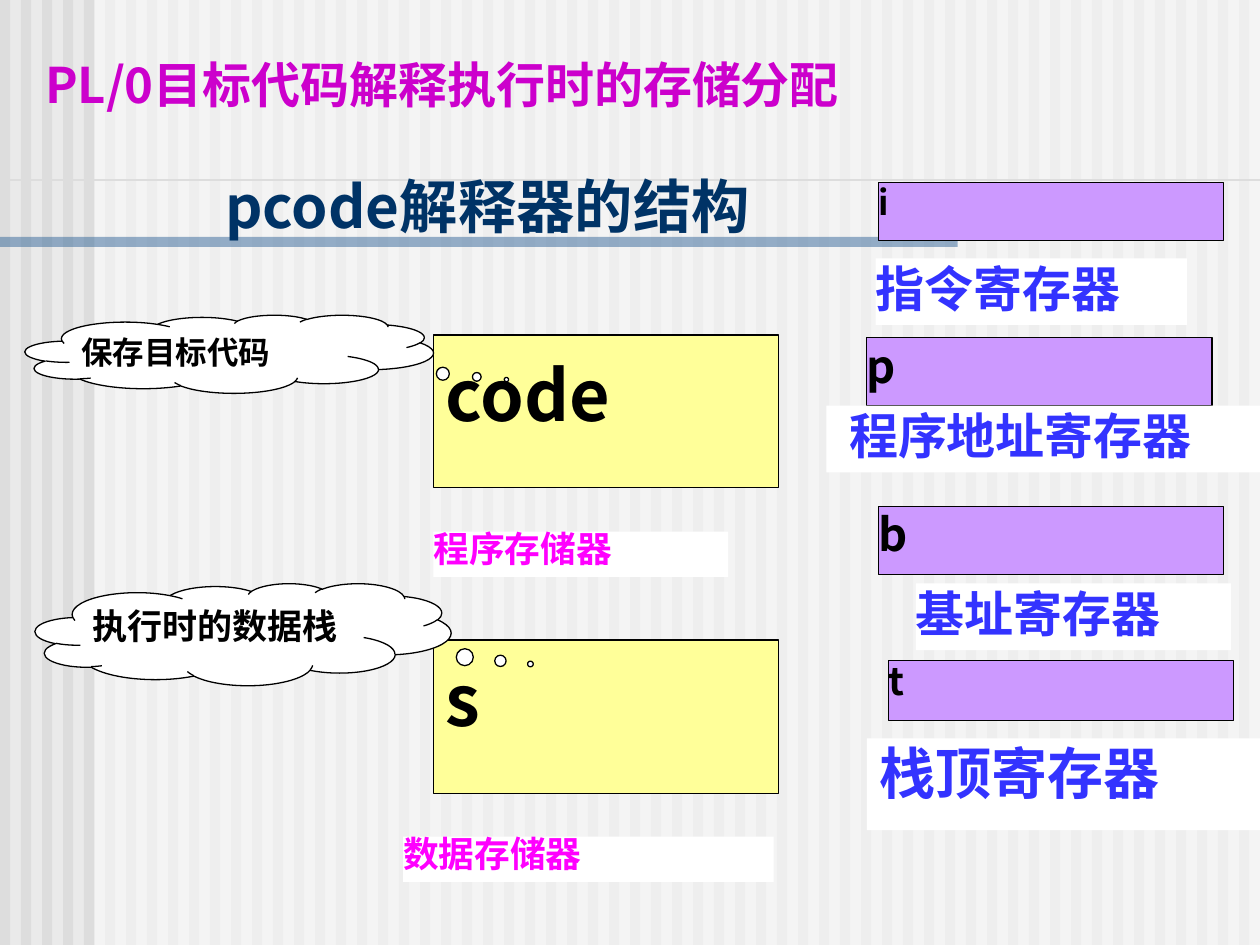
from dataclasses import dataclass
from typing import Optional

from lxml import etree
from pptx import Presentation
from pptx.dml.color import RGBColor
from pptx.enum.shapes import MSO_CONNECTOR, MSO_SHAPE
from pptx.enum.text import MSO_ANCHOR, PP_ALIGN
from pptx.oxml.ns import qn
from pptx.util import Inches, Pt

RECTANGLE = MSO_SHAPE.RECTANGLE
CLOUD = MSO_SHAPE.CLOUD_CALLOUT
STRAIGHT = MSO_CONNECTOR.STRAIGHT
TOP, MIDDLE = MSO_ANCHOR.TOP, MSO_ANCHOR.MIDDLE
LEFT, JUSTIFY = PP_ALIGN.LEFT, PP_ALIGN.JUSTIFY

CJK_FONT = "Noto Sans CJK SC"
CLOUD_FONT = "DejaVu Sans"
BLACK, WHITE, GRAY = "000000", "FFFFFF", "DDDDDD"
YELLOW, PURPLE = "FFFF99", "CC99FF"
BLUE, MAGENTA = "3333FF", "FF00FF"
STRIPE_COUNT, STRIPE_WIDTH = 60, 0.08
REGISTER_WIDTH = 2.74


@dataclass(frozen=True)
class TextStyle:
    size: float
    color: str = BLACK
    font: str = CJK_FONT
    spacing: float = 1.0
    alignment: PP_ALIGN = LEFT
    anchor: MSO_ANCHOR = TOP
    insets: tuple[float, float, float, float] = (0, 0.05, 0, 0.05)


@dataclass(frozen=True)
class Box:
    text: str
    left: float
    top: float
    width: float
    height: float
    style: TextStyle
    fill: Optional[str] = None
    outlined: bool = False
    tail: Optional[tuple[float, float]] = None


def rgb(color: str) -> RGBColor:
    return RGBColor.from_string(color)


def title_style(size: float, color: str, spacing: float) -> TextStyle:
    return TextStyle(size, color, spacing=spacing, anchor=MIDDLE, insets=(0.1, 0.05, 0.1, 0.05))


def label_style(size: float, color: str, spacing: float = 1.0, indent: float = 0) -> TextStyle:
    return TextStyle(size, color, spacing=spacing, alignment=JUSTIFY, insets=(indent, 0, 0, 0))


def register(name: str, left: float, top: float, height: float, size: float, spacing: float) -> Box:
    style = TextStyle(size, spacing=spacing)
    return Box(name, left, top, REGISTER_WIDTH, height, style, PURPLE, True)


def label(text: str, left: float, top: float, width: float, height: float, style: TextStyle) -> Box:
    return Box(text, left, top, width, height, style, WHITE)


def cloud(text: str, left: float, top: float, width: float, height: float,
          size: float, tail: tuple[float, float]) -> Box:
    style = TextStyle(size, font=CLOUD_FONT)
    return Box(text, left, top, width, height, style, WHITE, True, tail)


MEMORY = TextStyle(40, insets=(0.1, 0.13, 0.1, 0.05))
MEMORY_LABEL = label_style(20.4, MAGENTA, 0.9)
REGISTER_LABEL = label_style(28, BLUE)

TITLE = Box("PL/0目标代码解释执行时的存储分配", 0.26, 0.24, 7.9, 0.86,
            title_style(28, "CC00CC", 1.0))
BOXES = [
    Box("code", 3.44, 2.66, 2.74, 1.21, MEMORY, YELLOW, True),
    label("程序存储器", 3.44, 4.22, 2.34, 0.36, MEMORY_LABEL),
    Box("s", 3.44, 5.08, 2.74, 1.22, MEMORY, YELLOW, True),
    label("数据存储器", 3.2, 6.64, 2.94, 0.36, MEMORY_LABEL),
    register("i", 6.97, 1.45, 0.46, 19.6, 0.8),
    label("指令寄存器", 6.95, 2.05, 2.47, 0.53, REGISTER_LABEL),
    register("b", 6.97, 4.02, 0.54, 25.9, 0.9),
    label("基址寄存器", 7.27, 4.63, 2.5, 0.53, REGISTER_LABEL),
    register("t", 7.05, 5.24, 0.48, 21.7, 0.8),
    label("栈顶寄存器", 6.88, 5.86, 3.12, 0.73, label_style(32, BLUE, indent=0.1)),
    register("p", 6.88, 2.68, 0.54, 25.9, 0.9),
    label("程序地址寄存器", 6.56, 3.22, 3.44, 0.53, label_style(28, BLUE, indent=0.18)),
    Box("pcode解释器的结构", 1.69, 1.22, 4.57, 0.88, title_style(33.3, "003366", 0.9)),
    cloud("保存目标代码", 0.2, 2.5, 3.24, 0.62, 18, (0.679, 0.327)),
    cloud("执行时的数据栈", 0.28, 4.63, 3.3, 0.81, 20, (0.691, 0.29)),
]


def set_attributes(target, values: dict) -> None:
    for name, value in values.items():
        setattr(target, name, value)


def write_text(shape, text: str, style: TextStyle) -> None:
    frame = shape.text_frame
    left, top, right, bottom = (Inches(inset) for inset in style.insets)
    set_attributes(frame, {
        "word_wrap": True, "vertical_anchor": style.anchor,
        "margin_left": left, "margin_top": top,
        "margin_right": right, "margin_bottom": bottom,
    })
    paragraph = frame.paragraphs[0]
    set_attributes(paragraph, {"alignment": style.alignment, "line_spacing": style.spacing})
    run = paragraph.add_run()
    run.text = text
    set_attributes(run.font, {"size": Pt(style.size), "bold": True, "name": style.font})
    run.font.color.rgb = rgb(style.color)
    latin = run.font._element.find(qn("a:latin"))
    east_asian = etree.Element(qn("a:ea"), typeface=CJK_FONT)
    latin.addnext(east_asian)


def add_filled_shape(slide, kind: MSO_SHAPE, left: float, top: float, width: float,
                     height: float, color: str, alpha: int = 100):
    shape = slide.shapes.add_shape(kind, Inches(left), Inches(top), Inches(width), Inches(height))
    shape.shadow.inherit = False
    shape.fill.solid()
    shape.fill.fore_color.rgb = rgb(color)
    shape.line.fill.background()
    if alpha < 100:
        fill_color = shape._element.spPr.find(qn("a:solidFill")).find(qn("a:srgbClr"))
        etree.SubElement(fill_color, qn("a:alpha"), val=str(alpha * 1000))
    return shape


def draw_box(slide, box: Box) -> None:
    place = (box.left, box.top, box.width, box.height)
    if box.fill is None:
        shape = slide.shapes.add_textbox(*(Inches(length) for length in place))
    else:
        shape = add_filled_shape(slide, CLOUD if box.tail else RECTANGLE, *place, box.fill)
    if box.outlined:
        shape.line.color.rgb = rgb(BLACK)
        shape.line.width = Pt(0.75)
    for index, adjustment in enumerate(box.tail or ()):
        shape.adjustments[index] = adjustment
    write_text(shape, box.text, box.style)


def draw_backdrop(slide) -> None:
    slide.background.fill.solid()
    slide.background.fill.fore_color.rgb = rgb("EAEAEA")
    for index in range(STRIPE_COUNT):
        add_filled_shape(slide, RECTANGLE, index / 6, 0, STRIPE_WIDTH, 7.5, GRAY)
    add_filled_shape(slide, RECTANGLE, 0.75, 0, 9.25, 7.5, WHITE, 50)
    add_filled_shape(slide, RECTANGLE, 0, 1.88, 7.6, 0.08, "336699", 50)


def draw_rule(slide) -> None:
    rule = slide.shapes.add_connector(STRAIGHT, Inches(0), Inches(1.43), Inches(10), Inches(1.43))
    rule.line.color.rgb = rgb(GRAY)
    rule.line.width = Pt(1)
    etree.SubElement(rule._element.spPr, qn("a:effectLst"))


def main() -> None:
    presentation = Presentation()
    set_attributes(presentation, {"slide_width": Inches(10), "slide_height": Inches(7.5)})
    slide = presentation.slides.add_slide(presentation.slide_layouts[6])
    draw_backdrop(slide)
    draw_box(slide, TITLE)
    draw_rule(slide)
    for box in BOXES:
        draw_box(slide, box)
    presentation.save("out.pptx")


if __name__ == "__main__":
    main()
